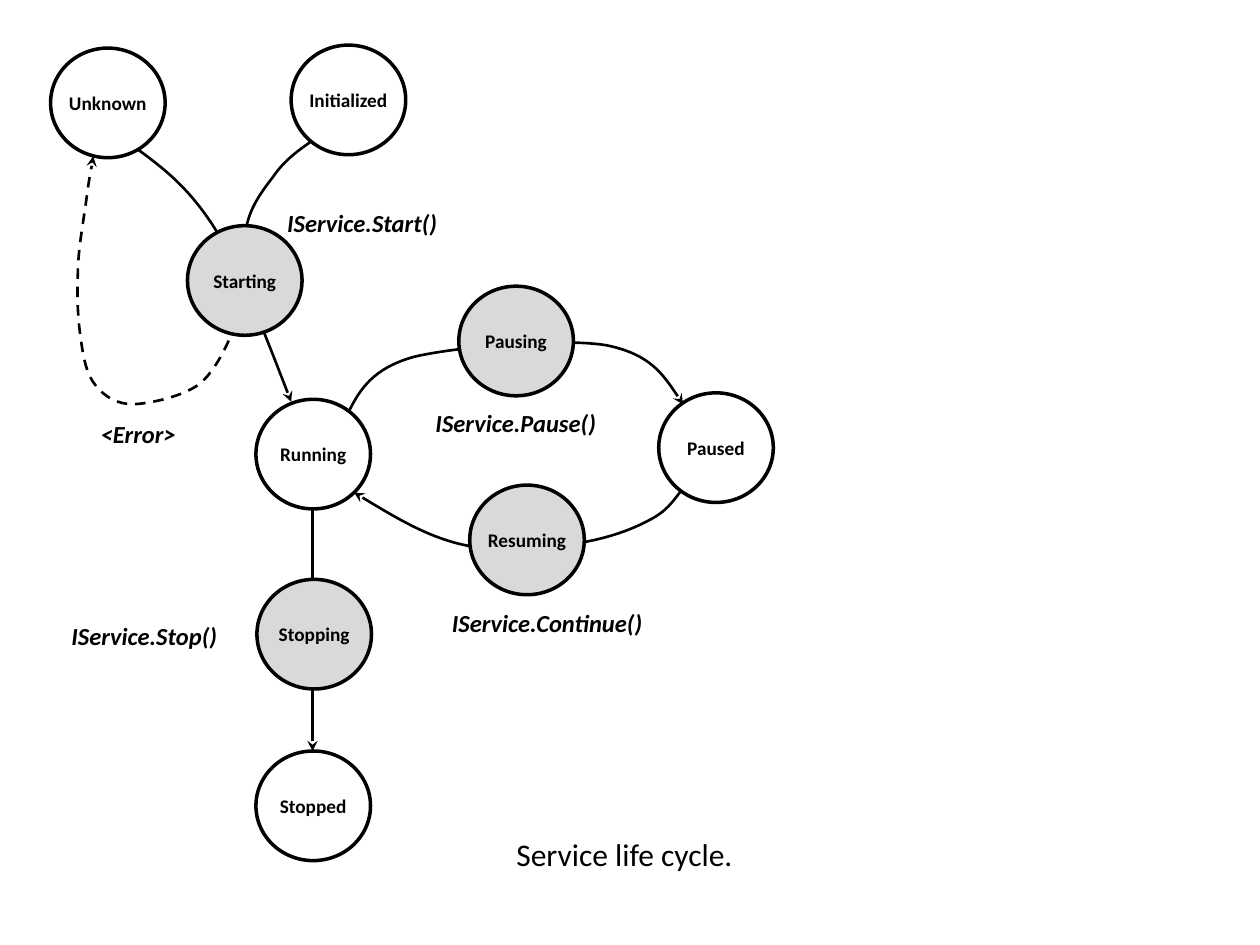
from lxml.etree import SubElement
from pptx import Presentation
from pptx.dml.color import RGBColor
from pptx.enum.dml import MSO_LINE
from pptx.enum.shapes import MSO_CONNECTOR, MSO_SHAPE
from pptx.enum.text import MSO_ANCHOR, MSO_AUTO_SIZE, PP_ALIGN
from pptx.oxml.ns import qn
from pptx.util import Cm, Pt

BLACK, WHITE, GREY = "000000", "FFFFFF", "D9D9D9"
STATE_SIZE = (2.31, 2.21)
LABEL_HEIGHT = 0.86

STABLE_STATES = [
    ("Unknown", 1.02, 0.97),
    ("Initialized", 5.87, 0.91),
    ("Running", 5.16, 8.05),
    ("Paused", 13.28, 7.92),
    ("Stopped", 5.16, 15.14),
]
PASSING_STATES = [
    ("Pausing", 9.25, 5.77),
    ("Resuming", 9.47, 9.78),
    ("Starting", 3.78, 4.55),
    ("Stopping", 5.18, 11.68),
]

PAUSE = [
    (7.04, 8.28),
    (7.26, 7.85), (7.52, 7.42), (8.36, 7.19),
    (9.22, 6.99), (11.3, 6.81), (12.22, 6.96),
    (13.11, 7.14), (13.44, 7.65), (13.77, 8.15),
]
RESUME = [
    (13.72, 9.91),
    (13.56, 10.11), (13.44, 10.31), (13.08, 10.49),
    (12.75, 10.67), (12.27, 10.85), (11.66, 10.95),
    (11.05, 11.02), (10.16, 11.18), (9.42, 11),
    (8.66, 10.85), (7.9, 10.39), (7.14, 9.93),
]
START = [
    (2.79, 3.02),
    (3.3, 3.4), (3.81, 3.78), (4.34, 4.62),
    (4.85, 5.46), (5.36, 6.78), (5.87, 8.1),
]
INITIALIZED_START = [
    (6.25, 2.87),
    (5.99, 3.05), (5.72, 3.25), (5.51, 3.56),
    (5.28, 3.86), (5, 4.22), (4.95, 4.7),
    (4.9, 5.16), (5.03, 5.77), (5.16, 6.38),
]
ERROR = [
    (4.75, 5.79),
    (4.8, 6.05), (4.85, 6.27), (4.72, 6.6),
    (4.6, 6.93), (4.34, 7.49), (4.01, 7.75),
    (3.66, 8), (3.05, 8.13), (2.69, 8.15),
    (2.36, 8.15), (2.11, 8), (1.93, 7.77),
    (1.75, 7.57), (1.68, 7.21), (1.63, 6.83),
    (1.57, 6.45), (1.55, 5.97), (1.57, 5.51),
    (1.57, 5.03), (1.7, 4.37), (1.75, 3.96),
    (1.8, 3.58), (1.85, 3.38), (1.88, 3.15),
]
CURVES = [
    (PAUSE, True, None),
    (RESUME, True, None),
    (START, True, None),
    (INITIALIZED_START, False, None),
    (ERROR, True, MSO_LINE.DASH),
]
STOP_LINE = (6.3, 10.26, 6.3, 15.14)

LABELS = [
    ("IService.Start()", 5.54, 4.06, 3.56),
    ("IService.Stop()", 1.19, 12.4, 3.48),
    ("IService.Continue()", 8.86, 12.14, 4.39),
    ("IService.Pause()", 8.53, 8.1, 3.78),
    ("<Error>", 1.78, 8.33, 2.03),
]
CAPTION = ("Service life cycle.", 10.16, 16.71, 5.08)

STATE_FONT = {"name": "Calibri", "size": Pt(11), "bold": True}
LABEL_FONT = {"name": "Calibri", "size": Pt(14), "bold": True, "italic": True}
CAPTION_FONT = {"name": "Calibri", "size": Pt(18)}
STATE_FRAME = {
    "margin_left": 0,
    "margin_right": 0,
    "vertical_anchor": MSO_ANCHOR.MIDDLE,
    "word_wrap": True,
}
LABEL_FRAME = {"word_wrap": False, "auto_size": MSO_AUTO_SIZE.SHAPE_TO_FIT_TEXT}


def paint(fill, color):
    """Make a fill solid in the given hex colour."""
    fill.solid()
    fill.fore_color.rgb = RGBColor.from_string(color)


def apply(target, values):
    """Set every named attribute on the target."""
    for name, value in values.items():
        setattr(target, name, value)


def write(shape, text, frame_values, font_values, align):
    """Put one formatted paragraph in a shape."""
    frame = shape.text_frame
    apply(frame, frame_values)
    para = frame.paragraphs[0]
    para.alignment = align
    span = para.add_run()
    span.text = text
    apply(span.font, font_values)
    paint(span.font.fill, BLACK)


def stroke(line, width, dash=None, arrow=False):
    """Draw a black line with an optional dash and arrowhead."""
    paint(line.fill, BLACK)
    line.width = Pt(width)
    if dash:
        line.dash_style = dash
    if arrow:
        SubElement(line._get_or_add_ln(), qn("a:tailEnd"), type="stealth")


def add_states(page, states, color):
    """Add a circle for each state."""
    for text, left, top in states:
        box = page.shapes.add_shape(
            MSO_SHAPE.OVAL, *map(Cm, (left, top, *STATE_SIZE)))
        box.shadow.inherit = False
        paint(box.fill, color)
        stroke(box.line, 2)
        write(box, text, STATE_FRAME, STATE_FONT, PP_ALIGN.CENTER)


def add_curve(page, points, arrow, dash):
    """Add an open path of cubic curves, three points to a segment."""
    start, *rest = [(Cm(x), Cm(y)) for x, y in points]
    builder = page.shapes.build_freeform(*start)
    builder.add_line_segments(rest, close=False)
    curve = builder.convert_to_shape()
    curve.shadow.inherit = False
    curve.fill.background()
    stroke(curve.line, 1.5, dash, arrow)
    outline = curve._element.find(".//" + qn("a:path"))
    segments = outline.findall(qn("a:lnTo"))
    for first in range(0, len(segments), 3):
        bend = SubElement(outline, qn("a:cubicBezTo"))
        for segment in segments[first:first + 3]:
            bend.append(segment[0])
            outline.remove(segment)


def add_label(page, label, font_values):
    """Add a line of text that does not wrap."""
    text, left, top, width = label
    box = page.shapes.add_textbox(*map(Cm, (left, top, width, LABEL_HEIGHT)))
    write(box, text, LABEL_FRAME, font_values, PP_ALIGN.LEFT)


def main():
    """Build the service life cycle slide."""
    deck = Presentation()
    deck.slide_width, deck.slide_height = Cm(25.4), Cm(19.05)
    page = deck.slides.add_slide(deck.slide_layouts[6])
    add_states(page, STABLE_STATES, WHITE)
    for curve in CURVES:
        add_curve(page, *curve)
    stop = page.shapes.add_connector(MSO_CONNECTOR.STRAIGHT, *map(Cm, STOP_LINE))
    stroke(stop.line, 1.5, arrow=True)
    SubElement(stop._element.spPr, qn("a:effectLst"))
    add_states(page, PASSING_STATES, GREY)
    for label in LABELS:
        add_label(page, label, LABEL_FONT)
    add_label(page, CAPTION, CAPTION_FONT)
    deck.save("out.pptx")


if __name__ == "__main__":
    main()
